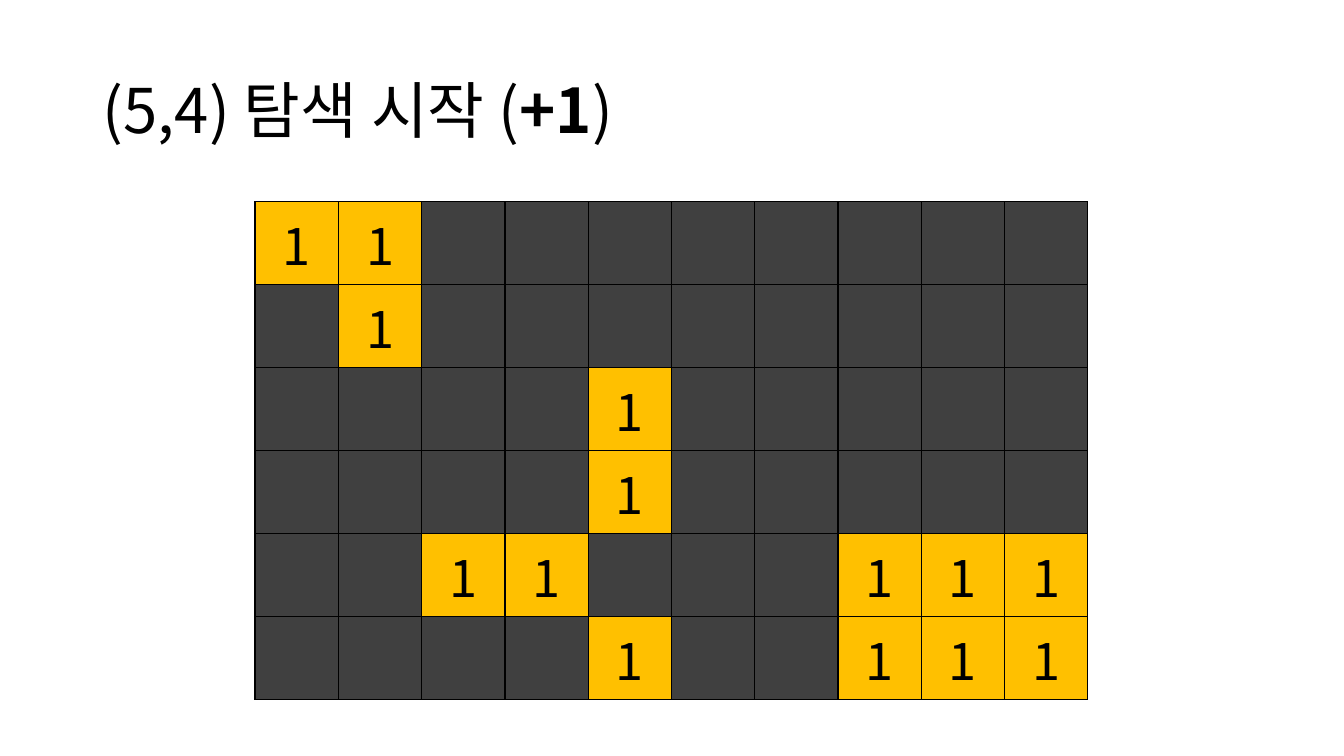
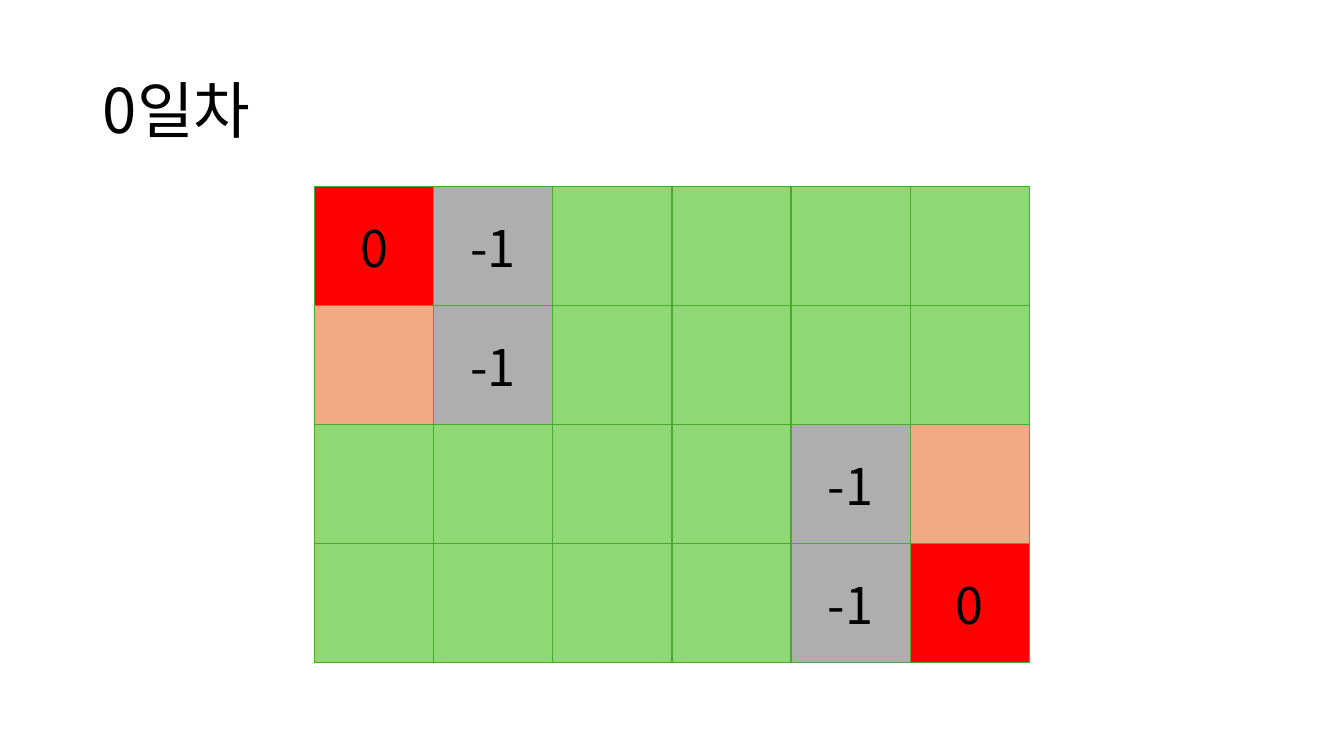
from dataclasses import dataclass

from lxml.etree import SubElement
from pptx import Presentation
from pptx.dml.color import RGBColor
from pptx.enum.text import MSO_ANCHOR as Anchor, MSO_AUTO_SIZE as AutoSize, PP_ALIGN as Align
from pptx.oxml.ns import qn
from pptx.util import Inches, Pt


@dataclass(frozen=True)
class Theme:
    font: str = "Noto Sans CJK KR"
    title_size: int = 44
    cell_size: int = 36
    border_width: int = 1
    text: str = "000000"
    wall: str = "404040"
    visited: str = "FFC000"
    leaf: str = "4EA72E"
    unripe: str = "8ED973"
    ripe: str = "FF0000"
    next_ripe: str = "F2AA84"
    empty: str = "AEAEAE"


class GridDeck:
    TITLE_ONLY = 5

    def __init__(self, theme):
        self.theme = theme
        self.deck = Presentation()
        self.deck.slide_width = Inches(13.33)
        self.deck.slide_height = Inches(7.5)
        self.page = None

    def add_page(self, *title_spans):
        layout = self.deck.slide_layouts[self.TITLE_ONLY]
        self.page = self.deck.slides.add_slide(layout)
        self.fill_title(title_spans)

    def style_paragraph(self, para, size, align):
        para.alignment = align
        font = para.font
        font.size = Pt(size)
        font.color.rgb = RGBColor.from_string(self.theme.text)
        font.name = self.theme.font
        SubElement(font._element, qn("a:ea"), typeface=self.theme.font)

    def fill_title(self, spans):
        box = self.page.shapes.title
        box.left, box.top = Inches(0.92), Inches(0.4)
        box.width, box.height = Inches(11.5), Inches(1.45)
        frame = box.text_frame
        frame.word_wrap = True
        frame.auto_size = AutoSize.NONE
        frame.vertical_anchor = Anchor.MIDDLE
        para = frame.paragraphs[0]
        para.line_spacing = 0.9
        self.style_paragraph(para, self.theme.title_size, Align.LEFT)
        for text, bold in spans:
            span = para.add_run()
            span.text = text
            span.font.bold = bold

    def add_grid(self, pattern, legend, left, top, width, height, border):
        rows, columns = len(pattern), len(pattern[0])
        frame = self.page.shapes.add_table(
            rows, columns, Inches(left), Inches(top), Inches(width), Inches(height))
        table = frame.table
        table.first_row = False
        table.horz_banding = False
        for row, symbols in enumerate(pattern):
            for column, symbol in enumerate(symbols):
                text, color = legend[symbol]
                self.fill_cell(table.cell(row, column), text, color, border)

    def fill_cell(self, cell, text, color, border):
        self.add_borders(cell, border)
        cell.fill.solid()
        cell.fill.fore_color.rgb = RGBColor.from_string(color)
        if text:
            cell.text = text
            cell.vertical_anchor = Anchor.MIDDLE
            para = cell.text_frame.paragraphs[0]
            self.style_paragraph(para, self.theme.cell_size, Align.CENTER)

    def add_borders(self, cell, color):
        properties = cell._tc.get_or_add_tcPr()
        for side in ("a:lnL", "a:lnR", "a:lnT", "a:lnB"):
            line = SubElement(properties, qn(side), w=str(Pt(self.theme.border_width)))
            fill = SubElement(line, qn("a:solidFill"))
            SubElement(fill, qn("a:srgbClr"), val=color)

    def save(self):
        self.deck.save("out.pptx")


def main():
    theme = Theme()
    deck = GridDeck(theme)

    deck.add_page(("(5,4) 탐색 시작 (", False), ("+1", True), (")", False))
    deck.add_grid(
        ["11........",
         ".1........",
         "....1.....",
         "....1.....",
         "..11...111",
         "....1..111"],
        {"1": ("1", theme.visited), ".": ("", theme.wall)},
        2.53, 2, 8.26, 4.69, theme.text)

    deck.add_page(("0일차", False))
    deck.add_grid(
        ["RE....",
         "NE....",
         "....EN",
         "....ER"],
        {"R": ("0", theme.ripe), "E": ("-1", theme.empty),
         "N": ("", theme.next_ripe), ".": ("", theme.unripe)},
        3.12, 1.85, 7.09, 4.72, theme.leaf)

    deck.save()


if __name__ == "__main__":
    main()
